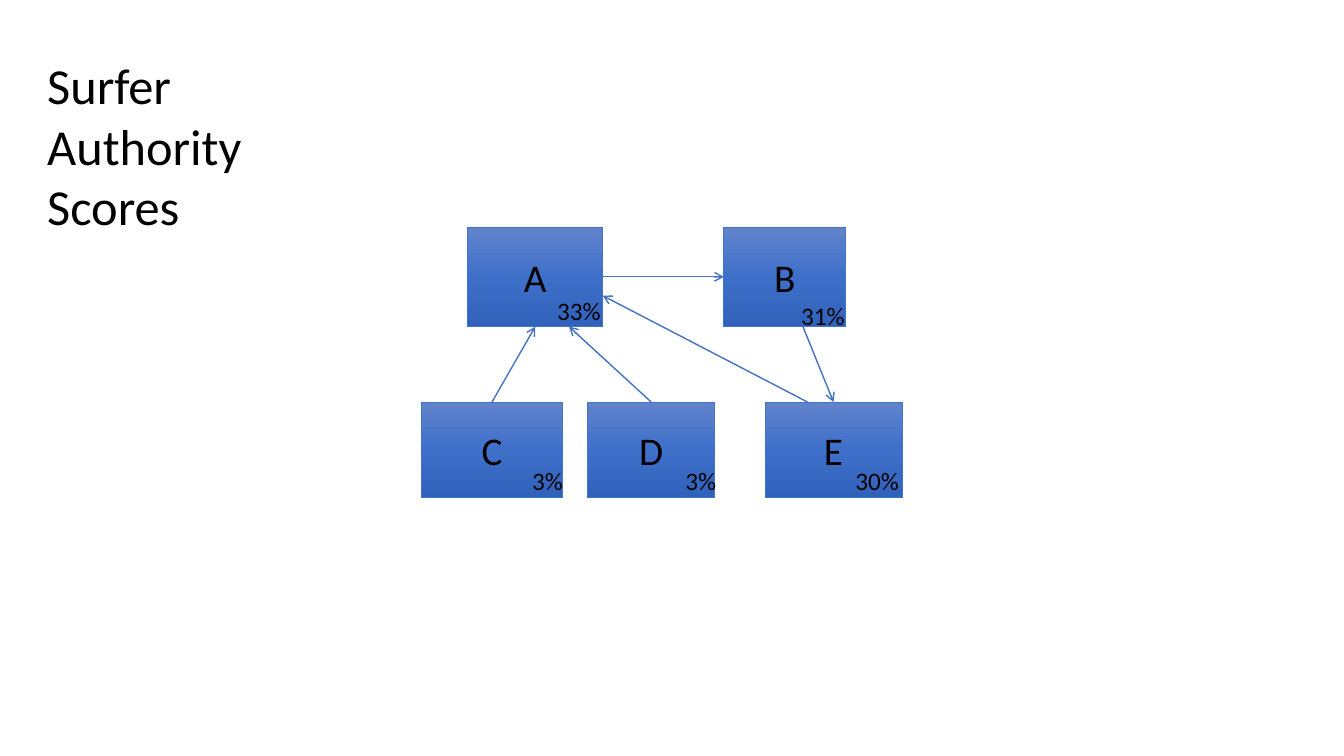
"""Build a slide of linked pages with their surfer authority scores."""
import copy

import pptx
import pptx.dml.color
import pptx.enum.dml
import pptx.enum.shapes
import pptx.enum.text
import pptx.oxml
import pptx.oxml.ns
import pptx.util
from pptx.util import Cm

COLOURS = {
    "top": "6183CB",
    "middle": "3E70CA",
    "bottom": "3062BB",
    "outline": "4472C4",
    "text": "000000",
}
FONT = "Calibri"
UPPER_ROW = (5.72, 2.51)
LOWER_ROW = (10.13, 2.41)
PAGES = {
    "A": (11.79, 3.4, UPPER_ROW),
    "C": (10.62, 3.56, LOWER_ROW),
    "D": (14.81, 3.2, LOWER_ROW),
    "E": (19.28, 3.45, LOWER_ROW),
    "B": (18.24, 3.07, UPPER_ROW),
}
LINKS = [
    ("C", 0.5, 0, "A", 0.5, 1),
    ("D", 0.5, 0, "A", 0.75, 1),
    ("A", 1, 0.5, "B", 0, 0.5),
    ("B", 0.65, 1, "E", 0.5, 0),
    ("E", 0.31, 0, "A", 1, 0.69),
]
SCORES = [
    ("33%", 13.79, 7.32, 1.63, False),
    ("31%", 19.94, 7.44, 1.63, False),
    ("3%", 13.16, 11.61, 1.3, False),
    ("3%", 17.02, 11.61, 1.65, True),
    ("30%", 21.31, 11.61, 1.63, False),
]


def rgb(name):
    return pptx.dml.color.RGBColor.from_string(COLOURS[name])


def add_run(paragraph, wording, size):
    run = paragraph.add_run()
    run.text = wording
    run.font.name = FONT
    run.font.size = pptx.util.Pt(size)
    run.font.color.rgb = rgb("text")


def fill_gradient(page):
    page.fill.gradient()
    page.fill.gradient_angle = 270
    stop_list = page._element.spPr.find(".//" + pptx.oxml.ns.qn("a:gsLst"))
    stop_list.append(copy.deepcopy(stop_list[-1]))
    for index, stop in enumerate(page.fill.gradient_stops):
        stop.position = index / 2
        stop.color.rgb = rgb(("top", "middle", "bottom")[index])


def add_page(slide, letter):
    left, width, (top, height) = PAGES[letter]
    page = slide.shapes.add_shape(
        pptx.enum.shapes.MSO_SHAPE.RECTANGLE,
        Cm(left), Cm(top), Cm(width), Cm(height))
    page.shadow.inherit = False
    fill_gradient(page)
    page.line.color.rgb = rgb("outline")
    page.line.width = pptx.util.Pt(0.5)
    page.text_frame.vertical_anchor = pptx.enum.text.MSO_ANCHOR.MIDDLE
    paragraph = page.text_frame.paragraphs[0]
    paragraph.alignment = pptx.enum.text.PP_ALIGN.CENTER
    add_run(paragraph, letter, 28)


def point_on(letter, across, down):
    left, width, (top, height) = PAGES[letter]
    return Cm(left + across * width), Cm(top + down * height)


def add_link(slide, source, source_x, source_y, target, target_x, target_y):
    link = slide.shapes.add_connector(
        pptx.enum.shapes.MSO_CONNECTOR.STRAIGHT,
        *point_on(source, source_x, source_y),
        *point_on(target, target_x, target_y))
    link.line.color.rgb = rgb("outline")
    link.line.width = pptx.util.Pt(1)
    properties = link._element.spPr
    arrowhead = pptx.oxml.ns.qn("a:tailEnd")
    outline = properties.find(pptx.oxml.ns.qn("a:ln"))
    outline.append(outline.makeelement(arrowhead, {"type": "arrow"}))
    properties.append(
        properties.makeelement(pptx.oxml.ns.qn("a:effectLst"), {}))


def add_label(slide, wording, left, top, width, height, size, wrap):
    label = slide.shapes.add_textbox(Cm(left), Cm(top), Cm(width), Cm(height))
    label.text_frame.word_wrap = wrap
    label.text_frame.auto_size = (
        pptx.enum.text.MSO_AUTO_SIZE.SHAPE_TO_FIT_TEXT)
    add_run(label.text_frame.paragraphs[0], wording, size)


def main():
    deck = pptx.Presentation()
    deck.slide_width, deck.slide_height = Cm(33.87), Cm(19.05)
    slide = deck.slides.add_slide(deck.slide_layouts[6])
    for letter in PAGES:
        add_page(slide, letter)
    for link in LINKS:
        add_link(slide, *link)
    for score, left, top, width, wrap in SCORES:
        add_label(slide, score, left, top, width, 1.03, 18, wrap)
    add_label(slide, "Surfer Authority Scores",
              0.94, 1.24, 8.31, 4.88, 36, True)
    deck.save("out.pptx")


if __name__ == "__main__":
    main()
